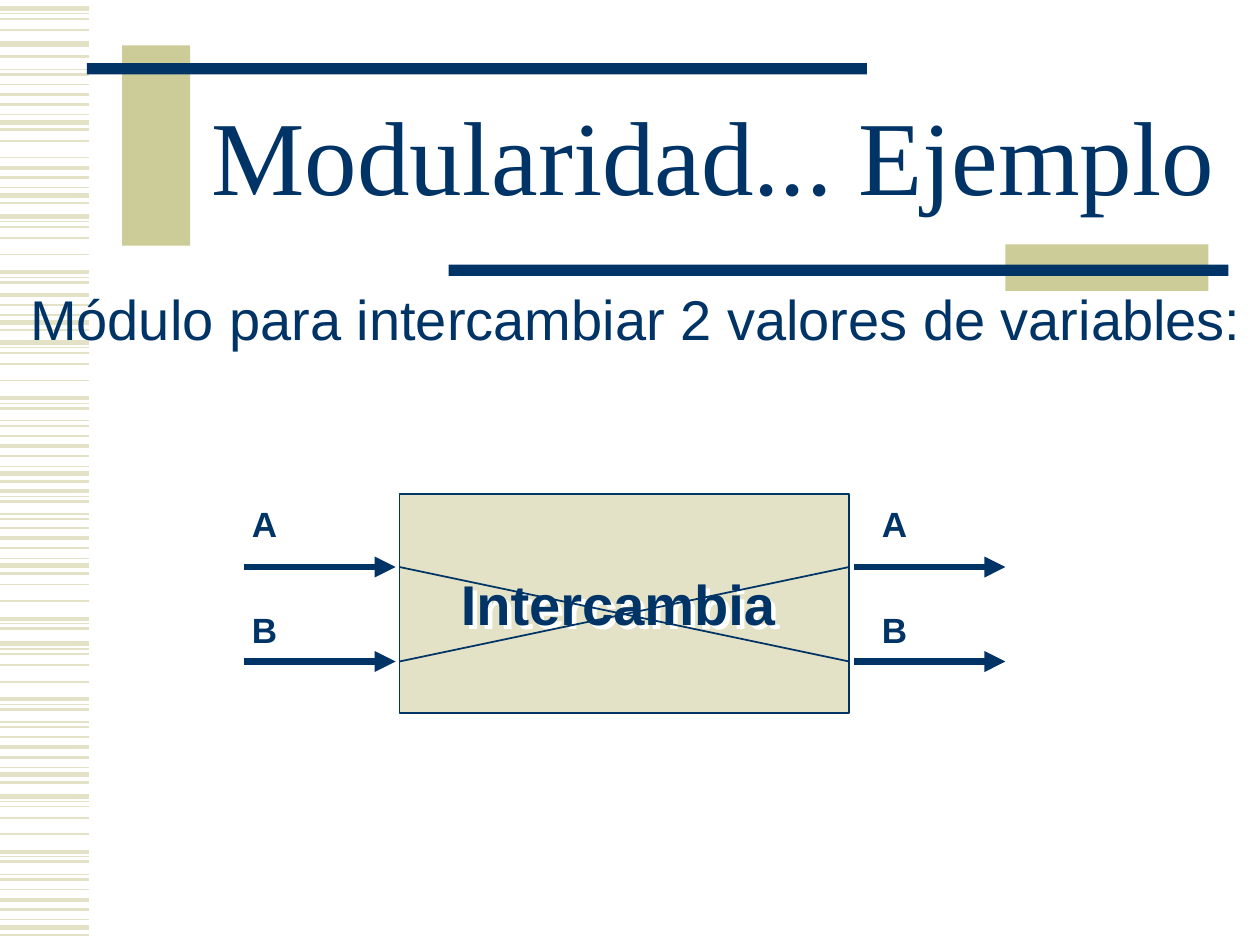
from dataclasses import dataclass
from itertools import product

import lxml.etree
import pptx
import pptx.dml.color
import pptx.enum.shapes
import pptx.enum.text
import pptx.oxml.ns
import pptx.util

Inches = pptx.util.Inches


@dataclass(frozen=True)
class Theme:
    navy: str = "003366"
    olive: str = "CCCC99"
    sand: str = "E3E2C7"
    shadow: str = "FFFFFF"
    title_font: str = "Times New Roman"
    body_font: str = "Arial"
    title_size: int = 60
    body_size: int = 32
    label_size: int = 20


@dataclass(frozen=True)
class Stripe:
    offset: float
    weight: float


@dataclass(frozen=True)
class StripeRun:
    top: float
    stripes: tuple[Stripe, ...]


@dataclass(frozen=True)
class Block:
    left: float
    top: float
    width: float
    height: float
    fill: str
    outline: float = 0


@dataclass(frozen=True)
class Line:
    start: tuple[float, float]
    end: tuple[float, float]
    color: str
    weight: float
    arrow: bool = False


@dataclass(frozen=True)
class Label:
    text: str
    left: float
    top: float
    width: float
    height: float
    size: int
    bold: bool = True
    shadow: bool = False


THEME = Theme()

SHORT = (Stripe(0, 1), Stripe(0.08, 2.25), Stripe(0.16, 1.5),
         Stripe(0.24, 0.75), Stripe(0.3, 3), Stripe(0.36, 1.5))
LONG = (Stripe(0, 3), Stripe(0.04, 0.75), Stripe(0.08, 1), Stripe(0.17, 1),
        Stripe(0.3, 1), Stripe(0.44, 2.25), Stripe(0.48, 0.75),
        Stripe(0.52, 1.5), Stripe(0.62, 0.75), Stripe(0.66, 1.5))
STRIPE_WIDTH = 0.71
STRIPE_RUNS = (
    StripeRun(0.07, LONG[:4]), StripeRun(0.35, LONG[:1]),
    StripeRun(-0.07, LONG[7:]), StripeRun(0.67, SHORT),
    StripeRun(0.82, LONG[4:5]), StripeRun(1.25, SHORT),
    StripeRun(1.72, LONG[:8]), StripeRun(2.26, SHORT[1:]),
    StripeRun(2.72, LONG), StripeRun(3.46, SHORT),
    StripeRun(3.46, LONG[5:]), StripeRun(4.19, SHORT),
    StripeRun(4.47, LONG[3:8]), StripeRun(5.11, LONG),
    StripeRun(5.85, SHORT), StripeRun(6.32, LONG), StripeRun(7.06, SHORT),
)

FRAME = (
    Block(0.97, 0.36, 0.54, 1.59, THEME.olive),
    Block(0.69, 0.5, 6.19, 0.09, THEME.navy),
    Block(7.98, 1.94, 1.61, 0.37, THEME.olive),
    Block(3.56, 2.1, 6.19, 0.09, THEME.navy),
)

MODULE = Block(3.17, 3.92, 3.57, 1.74, THEME.sand, 1)
MODULE_RIGHT = MODULE.left + MODULE.width
ARROW_LENGTH = 1.2
ARROW_ROWS = (4.5, 5.25)
ARROW_LEFTS = (1.94, 6.78)
LABEL_ROWS = (("A", 3.94), ("B", 4.78))
LABEL_LEFTS = (1.9, 6.9)


def rgb(color: str) -> pptx.dml.color.RGBColor:
    return pptx.dml.color.RGBColor.from_string(color)


def draw_line(page, line: Line) -> None:
    connector = page.shapes.add_connector(
        pptx.enum.shapes.MSO_CONNECTOR.STRAIGHT,
        *map(Inches, line.start + line.end))
    connector.line.color.rgb = rgb(line.color)
    connector.line.width = pptx.util.Pt(line.weight)
    if line.arrow:
        lxml.etree.SubElement(connector.line._get_or_add_ln(),
                              pptx.oxml.ns.qn("a:tailEnd"), type="triangle")
    lxml.etree.SubElement(connector.element.spPr,
                          pptx.oxml.ns.qn("a:effectLst"))


def draw_block(page, block: Block) -> None:
    shape = page.shapes.add_shape(
        pptx.enum.shapes.MSO_SHAPE.RECTANGLE,
        *map(Inches, (block.left, block.top, block.width, block.height)))
    shape.shadow.inherit = False
    shape.fill.solid()
    shape.fill.fore_color.rgb = rgb(block.fill)
    if block.outline:
        shape.line.color.rgb = rgb(THEME.navy)
        shape.line.width = pptx.util.Pt(block.outline)
    else:
        shape.line.fill.background()


def format_text(para, font_name: str, size: int, bold: bool) -> None:
    for span in para.runs:
        span.font.name = font_name
        span.font.size = pptx.util.Pt(size)
        span.font.bold = bold
        span.font.color.rgb = rgb(THEME.navy)


def add_shadow(box) -> None:
    qn = pptx.oxml.ns.qn
    effects = lxml.etree.SubElement(box.element.spPr, qn("a:effectLst"))
    shadow = lxml.etree.SubElement(effects, qn("a:outerShdw"),
                                   dist=str(Inches(0.05)), dir="2700000")
    lxml.etree.SubElement(shadow, qn("a:srgbClr"), val=THEME.shadow)


def draw_label(page, label: Label) -> None:
    box = page.shapes.add_textbox(
        *map(Inches, (label.left, label.top, label.width, label.height)))
    box.text_frame.text = label.text
    box.text_frame.word_wrap = False
    box.text_frame.auto_size = pptx.enum.text.MSO_AUTO_SIZE.SHAPE_TO_FIT_TEXT
    format_text(box.text_frame.paragraphs[0], THEME.body_font,
                label.size, label.bold)
    if label.shadow:
        add_shadow(box)


def place_title(page) -> None:
    title = page.shapes.title
    title.left, title.top, title.width, title.height = map(
        Inches, (1.5, 0.67, 8.32, 1.25))
    frame = title.text_frame
    frame.text = "Modularidad... Ejemplo"
    frame.vertical_anchor = pptx.enum.text.MSO_ANCHOR.MIDDLE
    frame.auto_size = pptx.enum.text.MSO_AUTO_SIZE.NONE
    para = frame.paragraphs[0]
    para.alignment = pptx.enum.text.PP_ALIGN.CENTER
    para.line_spacing = 0.85
    format_text(para, THEME.title_font, THEME.title_size, False)
    title.element.getparent().append(title.element)


def draw_diagram(page) -> None:
    draw_block(page, MODULE)
    for y, x in product(ARROW_ROWS, ARROW_LEFTS):
        draw_line(page, Line((x, y), (x + ARROW_LENGTH, y), THEME.navy, 4, True))
    draw_label(page, Label("Intercambia", 3.56, 4.47, 2.7, 0.63,
                           THEME.body_size, shadow=True))
    for start, end in (ARROW_ROWS, ARROW_ROWS[::-1]):
        draw_line(page, Line((MODULE.left, start), (MODULE_RIGHT, end),
                             THEME.navy, 1))
    for x, (text, y) in product(LABEL_LEFTS, LABEL_ROWS):
        draw_label(page, Label(text, x, y, 0.4, 0.43, THEME.label_size))


def main() -> None:
    deck = pptx.Presentation()
    deck.slide_width, deck.slide_height = Inches(10), Inches(7.5)
    page = deck.slides.add_slide(deck.slide_layouts[5])
    for run in STRIPE_RUNS:
        for stripe in run.stripes:
            y = run.top + stripe.offset
            draw_line(page, Line((0, y), (STRIPE_WIDTH, y),
                                 THEME.sand, stripe.weight))
    for block in FRAME:
        draw_block(page, block)
    place_title(page)
    draw_label(page, Label("Módulo para intercambiar 2 valores de variables:",
                           0.14, 2.21, 9.82, 0.63, THEME.body_size, False))
    draw_diagram(page)
    deck.save("out.pptx")


if __name__ == "__main__":
    main()
